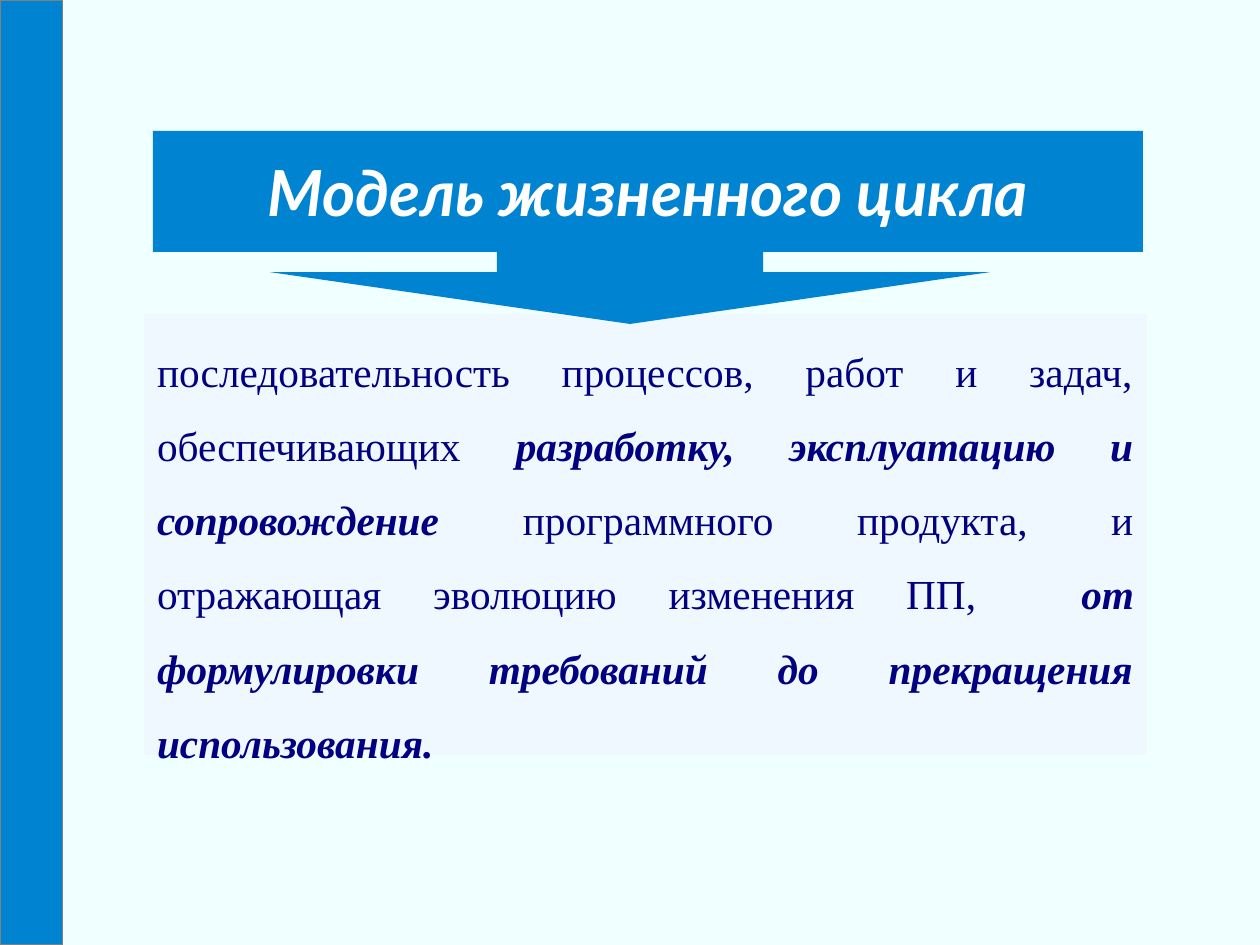
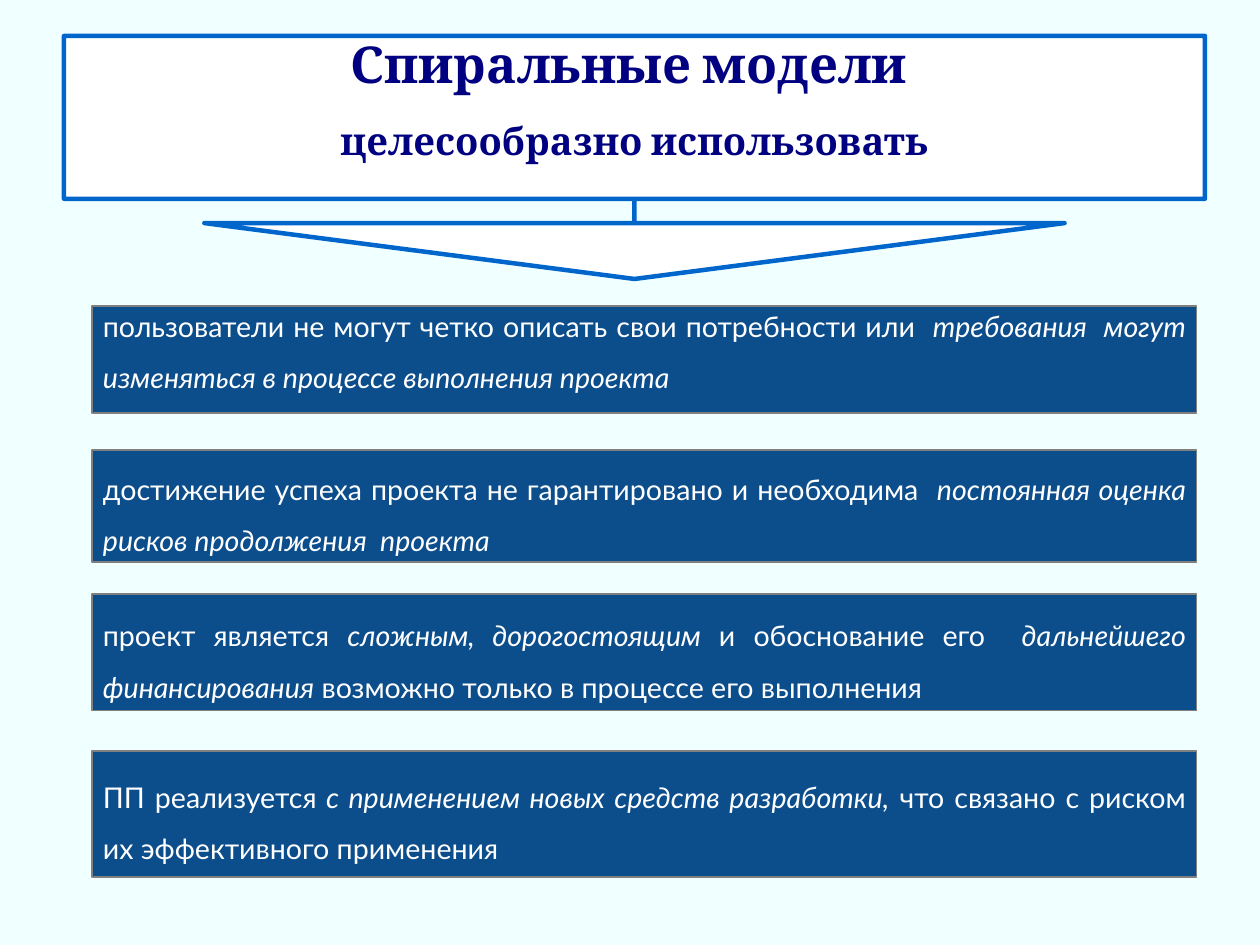
from lxml.etree import SubElement
from pptx import Presentation
from pptx.dml.color import RGBColor
from pptx.enum.shapes import MSO_SHAPE
from pptx.enum.text import MSO_ANCHOR, PP_ALIGN
from pptx.oxml.ns import qn
from pptx.util import Pt

PX = 8000
WIDTH, HEIGHT = 1260, 945
COLORS = {
    "background": "F0FFFF",
    "accent": "0084D1",
    "panel": "F0F8FF",
    "navy": "000080",
    "white": "FFFFFF",
    "outline": "0066CC",
    "bar": "004586",
    "edge": "808080",
}
DEFINITION = (
    "последовательность процессов, работ и задач, обеспечивающих |"
    "разработку, эксплуатацию и сопровождение|"
    " программного продукта, и отражающая эволюцию изменения ПП,  |"
    "от формулировки требований до прекращения использования."
)
CONDITIONS = [
    (306, 107, 39,
     "пользователи не могут четко описать свои потребности или |"
     " требования  могут изменяться в процессе выполнения проекта"),
    (450, 112, 6,
     "достижение успеха проекта не гарантировано и необходима  |"
     "постоянная оценка рисков продолжения  проекта"),
    (594, 117, 6,
     "проект является |сложным, дорогостоящим |и обоснование его  |"
     "дальнейшего финансирования| возможно только в процессе его выполнения"),
    (751, 126, 6,
     "ПП реализуется| с применением новых средств разработки,|"
     " что связано с риском их эффективного применения"),
]


def rgb(name):
    return RGBColor.from_string(COLORS[name])


def add_block(slide, kind, box, fill, line=None, line_width=0.75, opacity=100, adjustments=()):
    shape = slide.shapes.add_shape(kind, *(value * PX for value in box))
    shape.shadow.inherit = False
    for index, value in enumerate(adjustments):
        shape.adjustments[index] = value
    shape.fill.solid()
    shape.fill.fore_color.rgb = rgb(fill)
    if opacity < 100:
        color = shape.fill._xPr.find(qn("a:solidFill"))[0]
        SubElement(color, qn("a:alpha")).set("val", str(opacity * 1000))
    if line:
        shape.line.color.rgb = rgb(line)
        shape.line.width = Pt(line_width)
    else:
        shape.line.fill.background()
    return shape


def set_frame(shape, insets, anchor=MSO_ANCHOR.TOP, wrap=True):
    frame = shape.text_frame
    frame.word_wrap = wrap
    frame.vertical_anchor = anchor
    (frame.margin_left, frame.margin_top,
     frame.margin_right, frame.margin_bottom) = (value * PX for value in insets)
    return frame


def write(paragraph, text, font, size, color, align=PP_ALIGN.CENTER, spacing=1.0,
          bold=False, italic=False, strong_emphasis=False):
    paragraph.alignment = align
    paragraph.line_spacing = spacing
    for index, part in enumerate(text.split("|")):
        emphasised = index % 2 == 1
        run = paragraph.add_run()
        run.text = part
        run.font.name = font
        run.font.size = Pt(size)
        run.font.color.rgb = rgb(color)
        run.font.bold = bold or (emphasised and strong_emphasis)
        run.font.italic = italic or emphasised


def add_definition_panel(slide, box):
    panel = add_block(slide, MSO_SHAPE.RECTANGLE, box, "panel")
    frame = set_frame(panel, (13, 7, 13, 7))
    write(frame.paragraphs[0], DEFINITION, "Times New Roman", 26, "navy",
          align=PP_ALIGN.JUSTIFY, spacing=1.5, strong_emphasis=True)


def add_title_banner(slide, box):
    banner = add_block(slide, MSO_SHAPE.RECTANGLE, box, "accent")
    frame = set_frame(banner, (16, 10, 16, 10), MSO_ANCHOR.MIDDLE, wrap=False)
    write(frame.paragraphs[0], "Модель жизненного цикла", "Lato", 40, "white",
          bold=True, italic=True)


def add_arrow(slide, box):
    add_block(slide, MSO_SHAPE.DOWN_ARROW, box, "accent", adjustments=(0.37, 0.72))


def add_side_band(slide, box):
    add_block(slide, MSO_SHAPE.RECTANGLE, box, "accent", "edge")


def add_heading_callout(slide, box):
    callout = add_block(slide, MSO_SHAPE.DOWN_ARROW_CALLOUT, box, "white", "outline", 2.83,
                        adjustments=(0, 1.77, 0.23, 0.67))
    frame = set_frame(callout, (14, 2, 14, 2))
    write(frame.paragraphs[0], "Спиральные модели ", "Cambria", 32, "navy",
          spacing=0.93, bold=True)
    write(frame.add_paragraph(), "целесообразно использовать", "Cambria", 24, "navy",
          spacing=1.5, bold=True)


def add_condition_bar(slide, box, text, bottom_inset):
    bar = add_block(slide, MSO_SHAPE.RECTANGLE, box, "bar", "edge", opacity=95)
    frame = set_frame(bar, (11, 6, 11, bottom_inset), MSO_ANCHOR.MIDDLE)
    write(frame.paragraphs[0], text, "Lato", 18, "white",
          align=PP_ALIGN.JUSTIFY, spacing=1.5)


def build_definition_slide(slide):
    add_definition_panel(slide, (144, 314, 1003, 441))
    add_title_banner(slide, (153, 131, 990, 121))
    add_side_band(slide, (0, 0, 63, HEIGHT))
    add_arrow(slide, (270, 252, 720, 72))


def build_conditions_slide(slide):
    add_heading_callout(slide, (64, 36, 1141, 243))
    for top, height, bottom_inset, text in CONDITIONS:
        add_condition_bar(slide, (92, top, 1105, height), text, bottom_inset)


def main():
    presentation = Presentation()
    presentation.slide_width = WIDTH * PX
    presentation.slide_height = HEIGHT * PX
    background = presentation.slide_master.background.fill
    background.solid()
    background.fore_color.rgb = rgb("background")
    for build in (build_definition_slide, build_conditions_slide):
        build(presentation.slides.add_slide(presentation.slide_layouts[6]))
    presentation.save("out.pptx")


if __name__ == "__main__":
    main()
